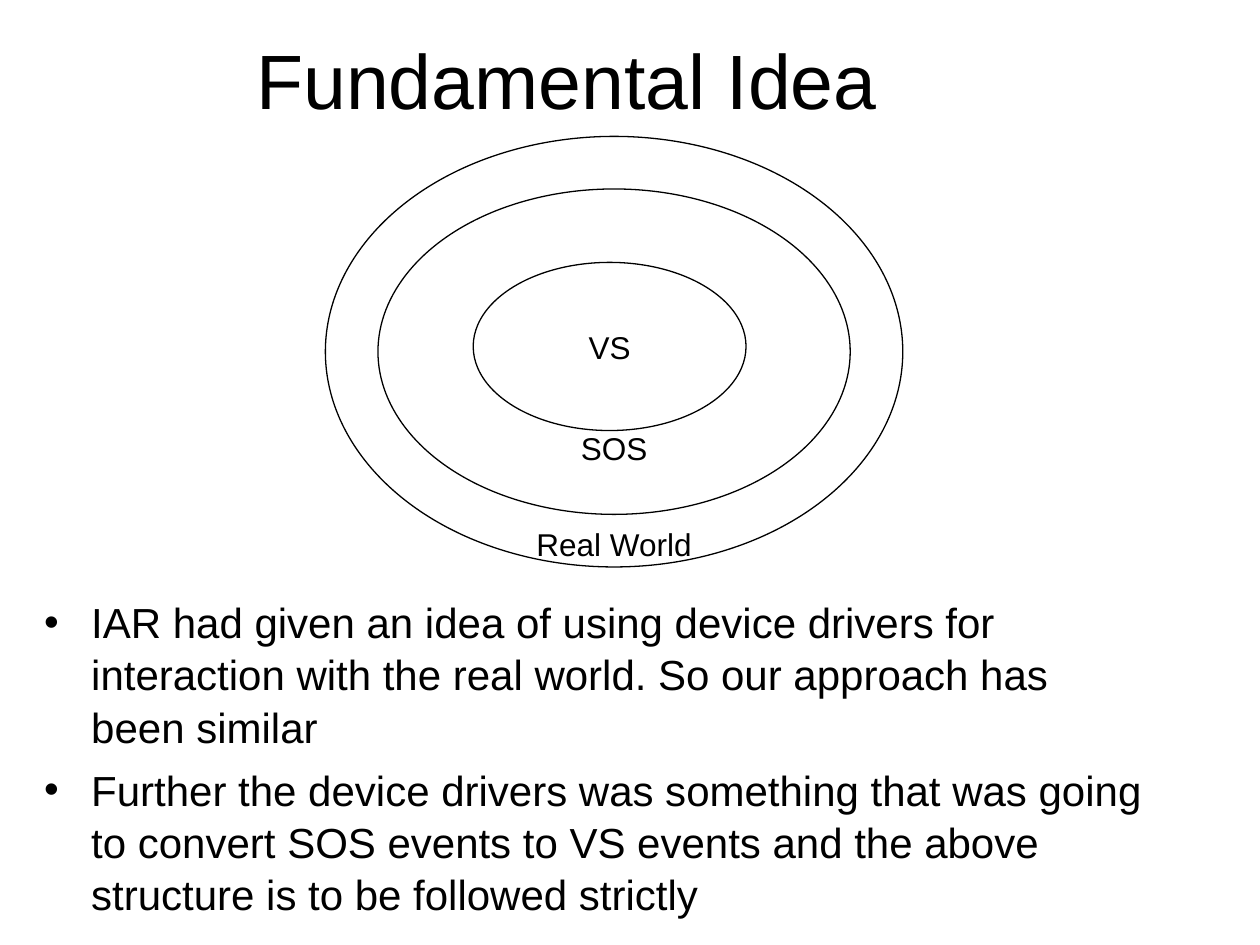
from lxml.etree import SubElement
from pptx import Presentation
from pptx.dml.color import RGBColor
from pptx.enum.shapes import MSO_SHAPE as Shape
from pptx.enum.text import MSO_ANCHOR as Anchor, PP_ALIGN as Align
from pptx.oxml.ns import qn
from pptx.util import Cm, Pt

BLACK, WHITE = "000000", "FFFFFF"
TITLE = "Fundamental Idea"
POINTS = [
    "IAR had given an idea of using device drivers for interaction with "
    "the real world. So our approach has been similar",
    "Further the device drivers was something that was going to convert SOS "
    "events to VS events and the above structure is to be followed strictly",
]


def color(value):
    """Turn a hex string into a colour."""
    return RGBColor.from_string(value)


def write(frame, *lines, size=18, align=Align.CENTER, anchor=Anchor.MIDDLE,
          wrap=True, before=0, spacing=1.0):
    """Fill a text frame with one formatted paragraph per line."""
    frame.word_wrap = wrap
    frame.vertical_anchor = anchor
    for index, line in enumerate(lines):
        paragraph = frame.add_paragraph() if index else frame.paragraphs[0]
        paragraph.alignment = align
        paragraph.space_before = Pt(before)
        paragraph.line_spacing = spacing
        run = paragraph.add_run()
        run.text = line
        run.font.name = "Arial"
        run.font.size = Pt(size)
        run.font.color.rgb = color(BLACK)


def place_title(slide, left, top, width, height):
    """Move and format the title placeholder."""
    title = slide.shapes.title
    title.left, title.top = Cm(left), Cm(top)
    title.width, title.height = Cm(width), Cm(height)
    write(title.text_frame, TITLE, size=44)


def add_ring(group, left, top, width, height):
    """Draw one outlined ellipse."""
    ring = group.shapes.add_shape(
        Shape.OVAL, Cm(left), Cm(top), Cm(width), Cm(height))
    ring.shadow.inherit = False
    ring.fill.solid()
    ring.fill.fore_color.rgb = color(WHITE)
    ring.line.color.rgb = color(BLACK)
    ring.line.width = Pt(0.75)
    return ring


def add_ring_label(group, name, center, middle):
    """Centre a ring's name on a point."""
    width, height = 5, 1
    label = group.shapes.add_textbox(
        Cm(center - width / 2), Cm(middle - height / 2), Cm(width), Cm(height))
    write(label.text_frame, name, wrap=False)


def add_world_rings(slide, left, top, width, height):
    """Nest the virtual system in the SOS and the SOS in the real world."""
    group = slide.shapes.add_group_shape()
    center, gap = left + width / 2, 1.06
    add_ring(group, left, top, width, height)
    add_ring_label(group, "Real World", center, top + 8.21)
    add_ring(group, left + gap, top + gap, width - 2 * gap, height - 2 * gap)
    add_ring_label(group, "SOS", center, top + 6.28)
    core = add_ring(group, left + 2.98, top + 2.54, 5.5, 3.39)
    write(core.text_frame, "VS", wrap=False)


def add_points(slide, left, top, width, height):
    """Add the bulleted list."""
    points = slide.shapes.add_textbox(
        Cm(left), Cm(top), Cm(width), Cm(height))
    write(points.text_frame, *POINTS, size=24, align=Align.LEFT,
          anchor=Anchor.TOP, before=6, spacing=1.04)
    for paragraph in points.text_frame.paragraphs:
        properties = paragraph._p.get_or_add_pPr()
        properties.set("marL", str(Cm(0.95)))
        properties.set("indent", str(-Cm(0.95)))
        SubElement(properties, qn("a:buFont"), typeface="Arial")
        SubElement(properties, qn("a:buChar"), char="•")


def main():
    """Build and save the slide."""
    deck = Presentation()
    deck.slide_width, deck.slide_height = Cm(25.4), Cm(19.05)
    slide = deck.slides.add_slide(deck.slide_layouts[5])
    place_title(slide, 0, 0, 22.86, 3.18)
    add_points(slide, 0.64, 11.86, 22.86, 7.19)
    add_world_rings(slide, 6.56, 2.75, 11.64, 8.68)
    deck.save("out.pptx")


if __name__ == "__main__":
    main()
